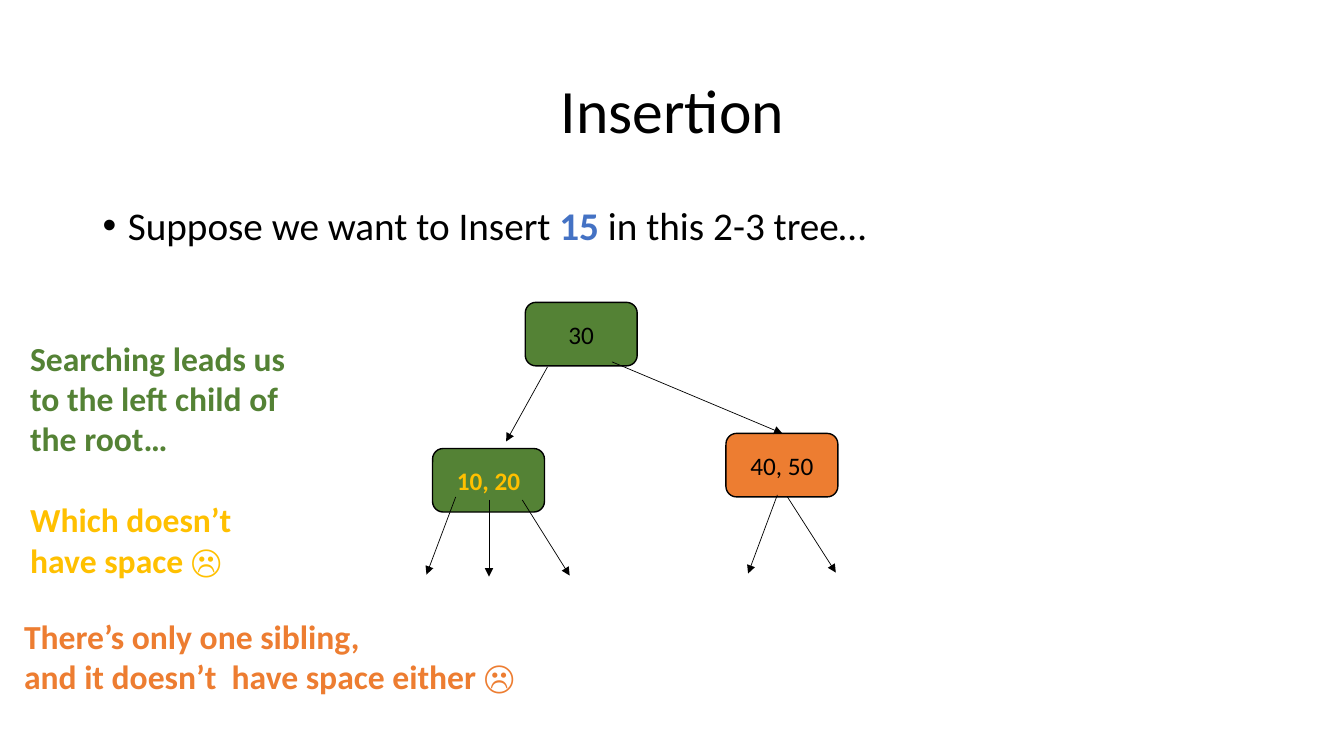
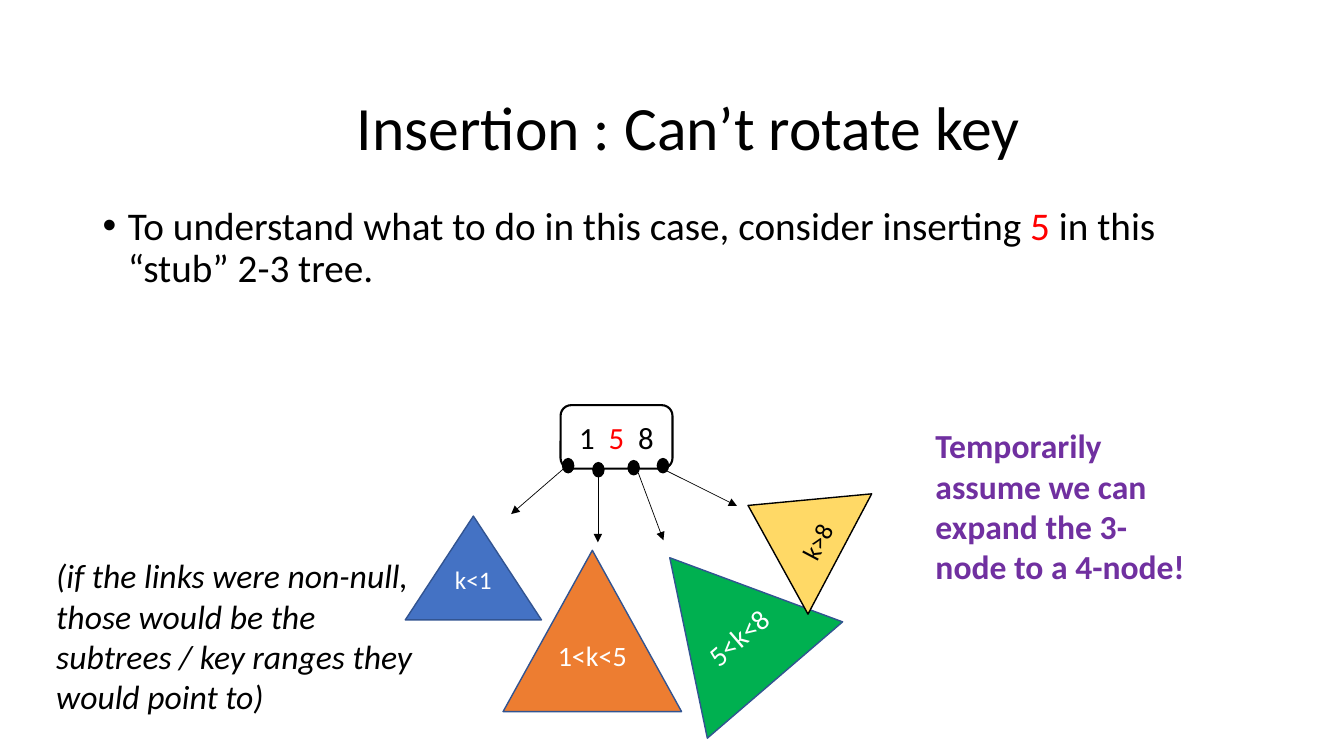
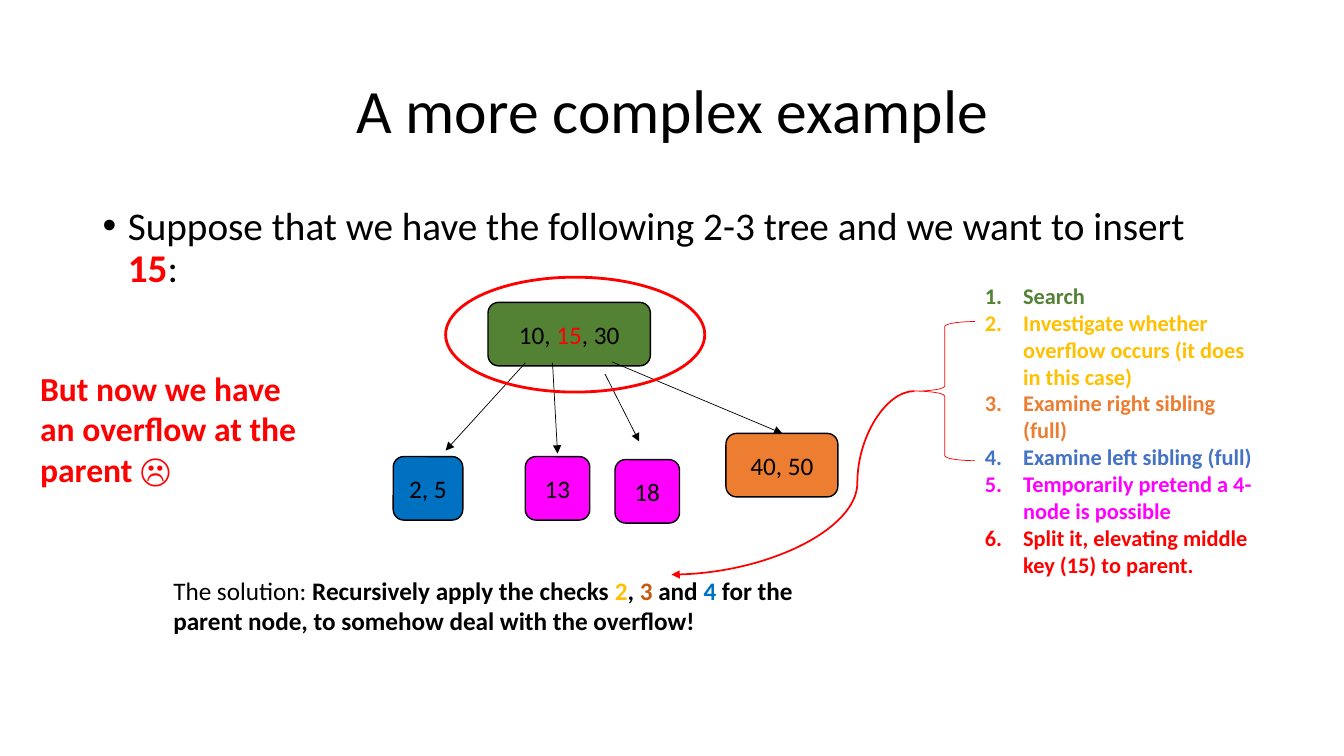
from dataclasses import dataclass
from typing import NamedTuple, Optional

from pptx import Presentation
from pptx.dml.color import RGBColor
from pptx.enum.shapes import MSO_CONNECTOR as Connector, MSO_SHAPE as Shape
from pptx.enum.text import MSO_ANCHOR as Anchor, PP_ALIGN as Align
from pptx.oxml.ns import qn
from pptx.util import Pt
from lxml.etree import SubElement

EMU_PER_PX = 9144  # 100 px to the inch
FONT = "Calibri"

BLACK = RGBColor(0x00, 0x00, 0x00)
WHITE = RGBColor(0xFF, 0xFF, 0xFF)
RED = RGBColor(0xFF, 0x00, 0x00)
BLUE = RGBColor(0x44, 0x72, 0xC4)
NAVY = RGBColor(0x32, 0x54, 0x91)
AZURE = RGBColor(0x00, 0x70, 0xC0)
MOSS = RGBColor(0x54, 0x82, 0x35)
GREEN = RGBColor(0x00, 0xB0, 0x50)
ORANGE = RGBColor(0xED, 0x7D, 0x31)
RUST = RGBColor(0xC5, 0x5A, 0x11)
GOLD = RGBColor(0xFF, 0xC0, 0x00)
SAND = RGBColor(0xFF, 0xD9, 0x66)
PURPLE = RGBColor(0x70, 0x30, 0xA0)
MAGENTA = RGBColor(0xFF, 0x00, 0xFF)


class Area(NamedTuple):
    left: int
    top: int
    width: int
    height: int


class Span(NamedTuple):
    """A piece of text; None keeps the format of the whole box."""
    text: str
    color: Optional[RGBColor] = None
    bold: Optional[bool] = None


class Arrow(NamedTuple):
    x1: int
    y1: int
    x2: int
    y2: int


@dataclass(frozen=True)
class Node:
    area: Area
    spans: tuple
    fill: Optional[RGBColor] = None
    size: int = 18
    line_width: float = 1


@dataclass(frozen=True)
class Subtree:
    area: Area
    label: str
    fill: RGBColor
    size: int = 18
    lift: int = 0  # bottom inset that raises the label
    rotation: float = 0
    line: RGBColor = NAVY
    color: RGBColor = WHITE


TITLE_AREA = Area(92, 40, 1150, 145)
BODY_AREA = Area(92, 200, 1150, 476)
RIGHT_CHILD = Node(Area(720, 430, 111, 63), (Span("40, 50"),), ORANGE)
RIGHT_EDGE = Arrow(607, 359, 776, 430)


def px(length: int) -> int:
    return length * EMU_PER_PX


def write(box, *paragraphs, size: int, color: RGBColor = BLACK, bold: bool = False,
          italic: bool = False, align=Align.LEFT, anchor=Anchor.TOP, wrap: bool = True,
          line_spacing: Optional[float] = None, gap: float = 0,
          marker: str = "", indent: int = 0) -> None:
    """Fill a box; each paragraph is a tuple of spans, the marker is "•" or "1.".

    A newline within a span becomes a line break.
    """
    frame = box.text_frame
    frame.word_wrap = wrap
    frame.vertical_anchor = anchor
    for index, spans in enumerate(paragraphs):
        para = frame.add_paragraph() if index else frame.paragraphs[0]
        if marker:
            properties = para._p.get_or_add_pPr()
            properties.set("marL", str(px(indent)))
            properties.set("indent", str(-px(indent)))
            if marker == "1.":
                SubElement(properties, qn("a:buAutoNum"), type="arabicPeriod")
            else:
                SubElement(properties, qn("a:buFont"), typeface="Arial")
                SubElement(properties, qn("a:buChar"), char=marker)
        para.alignment = align
        if line_spacing:
            para.line_spacing = line_spacing
        if index and gap:
            para.space_before = Pt(gap)
        for span in spans:
            for number, line in enumerate(span.text.split("\n")):
                if number:
                    para.add_line_break()
                run = para.add_run()
                run.text = line
                font = run.font
                font.name, font.size, font.italic = FONT, Pt(size), italic
                font.bold = bold if span.bold is None else span.bold
                font.color.rgb = span.color or color


def add_text(page, area: Area, *paragraphs, **text_format):
    box = page.shapes.add_textbox(*map(px, area))
    write(box, *paragraphs, **text_format)
    return box


def add_outline(page, kind, area: Area, fill: Optional[RGBColor] = None,
                line: RGBColor = BLACK, line_width: float = 1):
    """Draw a preset shape without shadow; no fill colour leaves it clear."""
    shape = page.shapes.add_shape(kind, *map(px, area))
    shape.shadow.inherit = False
    if fill is None:
        shape.fill.background()
    else:
        shape.fill.solid()
        shape.fill.fore_color.rgb = fill
    shape.line.color.rgb = line
    shape.line.width = Pt(line_width)
    return shape


def add_node(page, node: Node) -> None:
    box = add_outline(page, Shape.ROUNDED_RECTANGLE, node.area, node.fill,
                      line_width=node.line_width)
    write(box, node.spans, size=node.size, align=Align.CENTER, anchor=Anchor.MIDDLE)


def add_subtree(page, subtree: Subtree) -> None:
    triangle = add_outline(page, Shape.ISOSCELES_TRIANGLE, subtree.area, subtree.fill,
                           subtree.line)
    triangle.rotation = subtree.rotation
    frame = triangle.text_frame
    frame.margin_left = frame.margin_right = frame.margin_top = 0
    frame.margin_bottom = px(subtree.lift)
    write(triangle, (Span(subtree.label),), size=subtree.size, color=subtree.color,
          align=Align.CENTER, anchor=Anchor.MIDDLE)


def add_arrow(page, arrow: Arrow, kind=Connector.STRAIGHT, color: RGBColor = BLACK,
              width: float = 0.5):
    connector = page.shapes.add_connector(kind, *map(px, arrow))
    connector.line.color.rgb = color
    connector.line.width = Pt(width)
    SubElement(connector.line._get_or_add_ln(), qn("a:tailEnd"), type="triangle")
    SubElement(connector._element.spPr, qn("a:effectLst"))
    return connector


def add_page(deck, title: str, body: tuple, title_area: Area = TITLE_AREA):
    """Start a slide with its centred title and one bulleted statement."""
    page = deck.slides.add_slide(deck.slide_layouts[6])
    add_text(page, title_area, (Span(title),), size=44, align=Align.CENTER,
             anchor=Anchor.MIDDLE, line_spacing=0.9)
    add_text(page, BODY_AREA, body, size=28, line_spacing=0.9, marker="•", indent=25)
    return page


def build_full_siblings(deck) -> None:
    page = add_page(deck, "Insertion", (
        Span("Suppose we want to Insert "), Span("15", BLUE, True),
        Span(" in this 2-3 tree…")))
    nodes = (
        Node(Area(521, 300, 111, 63), (Span("30"),), MOSS),
        RIGHT_CHILD,
        Node(Area(429, 445, 111, 63), (Span("10, 20", GOLD, True),), MOSS),
    )
    arrows = (
        Arrow(543, 364, 502, 438), RIGHT_EDGE,
        Arrow(771, 491, 742, 569), Arrow(781, 493, 829, 568),
        Arrow(452, 493, 423, 570), Arrow(485, 496, 485, 572), Arrow(518, 496, 565, 571),
    )
    for node in nodes:
        add_node(page, node)
    for arrow in arrows:
        add_arrow(page, arrow)
    add_text(page, Area(20, 330, 288, 252),
             (Span("Searching leads us to the left child of the root…"),),
             (Span("Which doesn’t have space ☹", GOLD),),
             size=24, color=MOSS, bold=True, gap=29)
    add_text(page, Area(14, 606, 509, 91),
             (Span("There’s only one sibling, \nand it doesn’t  have space either ☹"),),
             size=24, color=ORANGE, bold=True, wrap=False)


def build_four_node(deck) -> None:
    page = add_page(deck, "Insertion : Can’t rotate key", (
        Span("To understand what to do in this case, consider inserting "),
        Span("5", RED), Span(" in this “stub” 2-3 tree.")),
        Area(108, 57, 1150, 145))
    add_node(page, Node(Area(556, 402, 111, 63),
                        (Span("1  "), Span("5", RED), Span("  8")),
                        size=22, line_width=1.5))
    for left, top in ((558, 455), (588, 459), (623, 457), (652, 455)):
        add_outline(page, Shape.OVAL, Area(left, top, 11, 14), BLACK)
    for arrow in (Arrow(559, 465, 507, 510), Arrow(593, 473, 593, 538),
                  Arrow(633, 469, 658, 536), Arrow(661, 467, 731, 502)):
        add_arrow(page, arrow)
    add_text(page, Area(918, 417, 279, 172),
             (Span("Temporarily assume we can expand the 3-node to a 4-node!"),),
             size=24, color=PURPLE, bold=True)
    add_text(page, Area(46, 546, 373, 172),
             (Span("(if the links were non-null, those would be the subtrees / "
                   "key ranges they would point to)"),),
             size=24, italic=True)
    subtrees = (
        Subtree(Area(402, 512, 135, 103), "k<1", BLUE, lift=28),
        Subtree(Area(499, 546, 177, 160), "1<k<5", ORANGE, 20, 32),
        Subtree(Area(628, 534, 177, 160), "5<k<8", GREEN, 20, 32, 319.3),
        Subtree(Area(720, 474, 135, 103), "k>8", SAND, rotation=297.9,
                line=BLACK, color=BLACK),
    )
    for subtree in subtrees:
        add_subtree(page, subtree)


def build_parent_overflow(deck) -> None:
    page = add_page(deck, "A more complex example", (
        Span("Suppose that we have the following 2-3 tree and we want to insert "),
        Span("15", RED, True), Span(":")))
    nodes = (
        Node(Area(484, 300, 161, 63), (Span("10, "), Span("15", RED), Span(", 30")), MOSS),
        Node(Area(390, 453, 69, 63), (Span("2, 5"),), AZURE),
        Node(Area(521, 453, 64, 63), (Span("13"),), MAGENTA),
        Node(Area(610, 456, 64, 63), (Span("18"),), MAGENTA),
        RIGHT_CHILD,
    )
    for node in nodes:
        add_node(page, node)
    for arrow in (RIGHT_EDGE, Arrow(521, 360, 442, 447), Arrow(548, 360, 553, 450),
                  Arrow(600, 371, 634, 438)):
        add_arrow(page, arrow)
    add_outline(page, Shape.OVAL, Area(442, 275, 257, 114), line=RED, line_width=2)

    steps = (
        Span("Search", MOSS),
        Span("Investigate whether overflow occurs (it does in this case)", GOLD),
        Span("Examine right sibling (full)", ORANGE),
        Span("Examine left sibling (full)", BLUE),
        Span("Temporarily pretend a 4-node is possible", MAGENTA),
        Span("Split it, elevating middle key (15) to parent.", RED),
    )
    add_text(page, Area(967, 275, 294, 306), *((step,) for step in steps),
             size=16, bold=True, marker="1.", indent=38)
    add_text(page, Area(30, 360, 286, 131),
             (Span("But now we have an overflow at the parent ☹"),),
             size=24, color=RED, bold=True)
    add_text(page, Area(162, 566, 669, 71),
             (Span("The solution: ", bold=False), Span("Recursively apply the checks "),
              Span("2", GOLD), Span(", "), Span("3", RUST), Span(" and "),
              Span("4", AZURE),
              Span(" for the parent node, to somehow deal with the overflow!")),
             size=18, bold=True)
    add_outline(page, Shape.LEFT_BRACE, Area(907, 319, 60, 138), line=RED, line_width=0.5)
    curve = add_arrow(page, Arrow(907, 388, 666, 570), Connector.CURVE, RED, 1.25)
    guides = curve._element.spPr.find(qn("a:prstGeom")).find(qn("a:avLst"))
    SubElement(guides, qn("a:gd"), name="adj1", fmla="val 23500")


def main() -> None:
    deck = Presentation()
    deck.slide_width, deck.slide_height = px(1333), px(750)
    build_full_siblings(deck)
    build_four_node(deck)
    build_parent_overflow(deck)
    deck.save("out.pptx")


if __name__ == "__main__":
    main()
